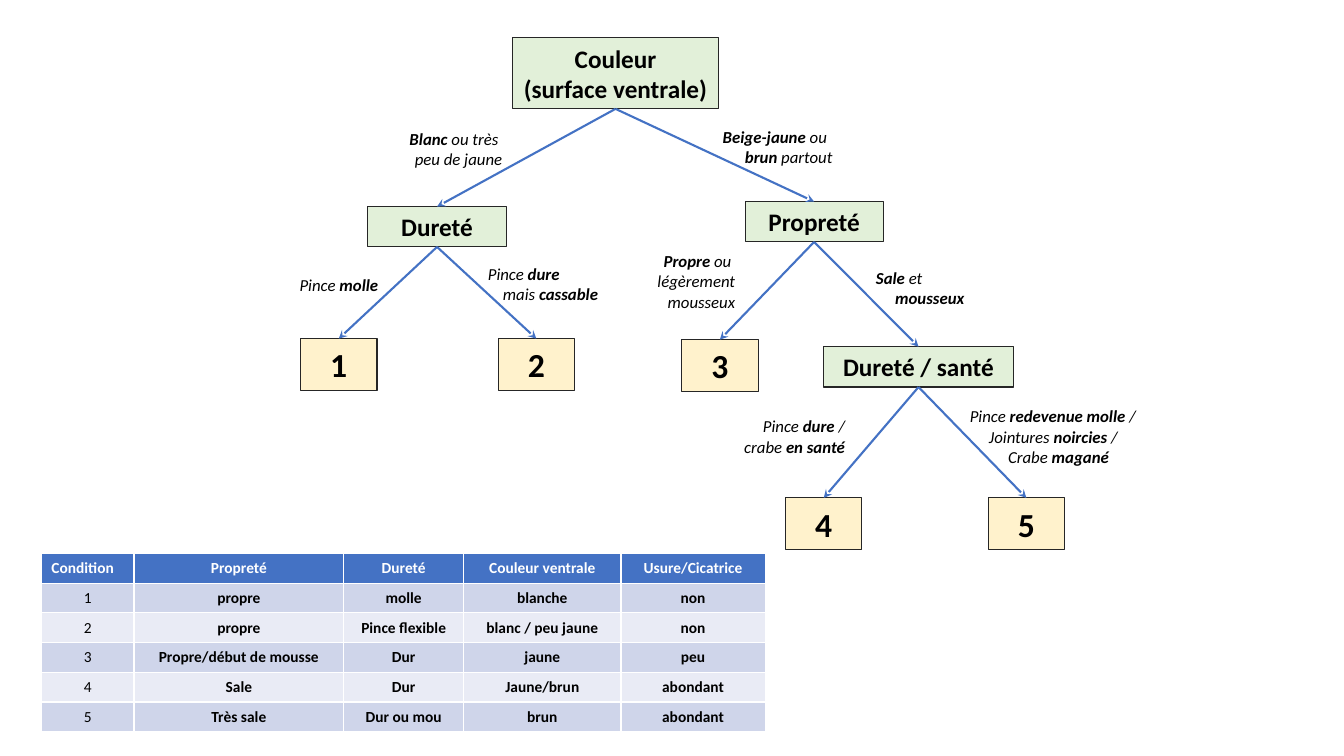
from lxml.etree import SubElement
from pptx import Presentation
from pptx.dml.color import RGBColor
from pptx.enum.shapes import MSO_CONNECTOR, MSO_SHAPE
from pptx.enum.text import MSO_ANCHOR, PP_ALIGN
from pptx.oxml.ns import qn
from pptx.util import Inches, Pt

BLUE, GREEN, CREAM = "4472C4", "E2F0D9", "FFF2CC"
BLACK, WHITE, OUTLINE = "000000", "FFFFFF", "262626"
BANDS = ("E9EBF5", "CFD5EA")
LEFT, CENTER, RIGHT = PP_ALIGN.LEFT, PP_ALIGN.CENTER, PP_ALIGN.RIGHT

CRITERIA = {
    "Couleur\n(surface ventrale)": (2.34, 0, 2.05, 0.71),
    "Dureté": (0.91, 1.68, 1.37, 0.4),
    "Propreté": (4.65, 1.63, 1.37, 0.4),
    "Dureté / santé": (5.43, 3.07, 1.88, 0.4),
}
OUTCOMES = {
    "1": (0.24, 2.99),
    "2": (2.2, 2.99),
    "3": (4.02, 3),
    "4": (5.05, 4.57),
    "5": (7.06, 4.57),
}
BRANCHES = {
    "Couleur\n(surface ventrale)": ("Dureté", "Propreté"),
    "Dureté": ("1", "2"),
    "Propreté": ("3", "Dureté / santé"),
    "Dureté / santé": ("4", "5"),
}
ANSWERS = [
    (1.16, 0.86, 1.18, 0.5, RIGHT, 0, ["*Blanc* ou très ", "peu de jaune"]),
    (4.33, 0.84, 1.56, 0.5, LEFT, 0.22, ["*Beige-jaune* ou", "*brun* partout"]),
    (0, 2.31, 1.11, 0.3, RIGHT, 0, ["Pince *molle*"]),
    (2, 2.2, 1.42, 0.5, LEFT, 0.15, ["Pince *dure*", "mais *cassable*"]),
    (3.65, 2.07, 1, 0.71, RIGHT, 0, ["*Propre* ou ", "légèrement mousseux"]),
    (5.85, 2.24, 1.46, 0.5, LEFT, 0.19, ["*Sale* et", "*mousseux*"]),
    (4.18, 3.71, 1.56, 0.5, RIGHT, 0, ["Pince *dure* /", "crabe *en santé*"]),
    (6.78, 3.61, 1.92, 0.71, LEFT, 0.19,
     ["Pince *redevenue molle* /", "Jointures *noircies* /", "Crabe *magané*"]),
]
COLUMN_WIDTHS = (0.92, 2.08, 1.19, 1.56, 1.43)
CONDITIONS = [
    ("Condition", "Propreté", "Dureté", "Couleur ventrale", "Usure/Cicatrice"),
    ("1", "propre", "molle", "blanche", "non"),
    ("2", "propre", "Pince flexible", "blanc / peu jaune", "non"),
    ("3", "Propre/début de mousse", "Dur", "jaune", "peu"),
    ("4", "Sale", "Dur", "Jaune/brun", "abondant"),
    ("5", "Très sale", "Dur ou mou", "brun", "abondant"),
]


def color(value):
    return RGBColor.from_string(value)


def style(paragraph, size, alignment, text_color=BLACK, bold=None, italic=None):
    paragraph.alignment = alignment
    font = paragraph.font
    font.name, font.size = "Calibri", Pt(size)
    font.bold, font.italic = bold, italic
    font.color.rgb = color(text_color)


def add_node(slide, text, box, fill, size):
    shape = slide.shapes.add_shape(MSO_SHAPE.RECTANGLE, *map(Inches, box))
    shape.shadow.inherit = False
    shape.fill.solid()
    shape.fill.fore_color.rgb = color(fill)
    shape.line.color.rgb = color(OUTLINE)
    shape.line.width = Pt(0.75)
    frame = shape.text_frame
    frame.word_wrap = False
    frame.vertical_anchor = MSO_ANCHOR.MIDDLE
    frame.text = text
    for paragraph in frame.paragraphs:
        style(paragraph, size, CENTER, bold=True)
    return shape


def add_arrow(slide, parent, child):
    connector = slide.shapes.add_connector(MSO_CONNECTOR.STRAIGHT, 0, 0, 0, 0)
    connector.begin_connect(parent, 2)
    connector.end_connect(child, 0)
    connector.line.color.rgb = color(BLUE)
    connector.line.width = Pt(1.5)
    SubElement(connector.line._get_or_add_ln(), qn("a:tailEnd"), type="stealth")
    SubElement(connector._element.spPr, qn("a:effectLst"))


def add_answer(slide, box, alignment, indent, lines):
    frame = slide.shapes.add_textbox(*map(Inches, box)).text_frame
    frame.word_wrap = True
    for index, line in enumerate(lines):
        paragraph = frame.add_paragraph() if index else frame.paragraphs[0]
        paragraph._p.get_or_add_pPr().set("marL", str(Inches(indent * index)))
        style(paragraph, 12, alignment, italic=True)
        for part, text in enumerate(line.split("*")):
            if text:
                run = paragraph.add_run()
                run.text = text
                run.font.bold = part % 2 == 1


def add_decision_tree(slide, left, top):
    nodes = {}
    for text, (x, y, width, height) in CRITERIA.items():
        nodes[text] = add_node(slide, text, (left + x, top + y, width, height), GREEN, 18)
    for text, (x, y) in OUTCOMES.items():
        nodes[text] = add_node(slide, text, (left + x, top + y, 0.76, 0.51), CREAM, 24)
    for parent, children in BRANCHES.items():
        for child in children:
            add_arrow(slide, nodes[parent], nodes[child])
    for x, y, width, height, alignment, indent, lines in ANSWERS:
        add_answer(slide, (left + x, top + y, width, height), alignment, indent, lines)


def add_condition_table(slide, left, top, width, height):
    table = slide.shapes.add_table(
        len(CONDITIONS), len(COLUMN_WIDTHS), *map(Inches, (left, top, width, height))
    ).table
    for column, column_width in zip(table.columns, COLUMN_WIDTHS):
        column.width = Inches(column_width)
    for row, values in enumerate(CONDITIONS):
        for column, value in enumerate(values):
            cell = table.cell(row, column)
            cell.text = value
            cell.vertical_anchor = MSO_ANCHOR.MIDDLE
            cell.fill.solid()
            cell.fill.fore_color.rgb = color(BANDS[row % 2] if row else BLUE)
            style(
                cell.text_frame.paragraphs[0], 11,
                CENTER if row or column else LEFT,
                BLACK if row else WHITE,
                bold=row == 0 or column > 0,
            )


def main():
    presentation = Presentation()
    presentation.slide_width = Inches(13.33)
    presentation.slide_height = Inches(7.5)
    slide = presentation.slides.add_slide(presentation.slide_layouts[6])
    add_condition_table(slide, 0.41, 5.49, 7.18, 1.77)
    add_decision_tree(slide, 2.74, 0.37)
    presentation.save("out.pptx")


if __name__ == "__main__":
    main()
